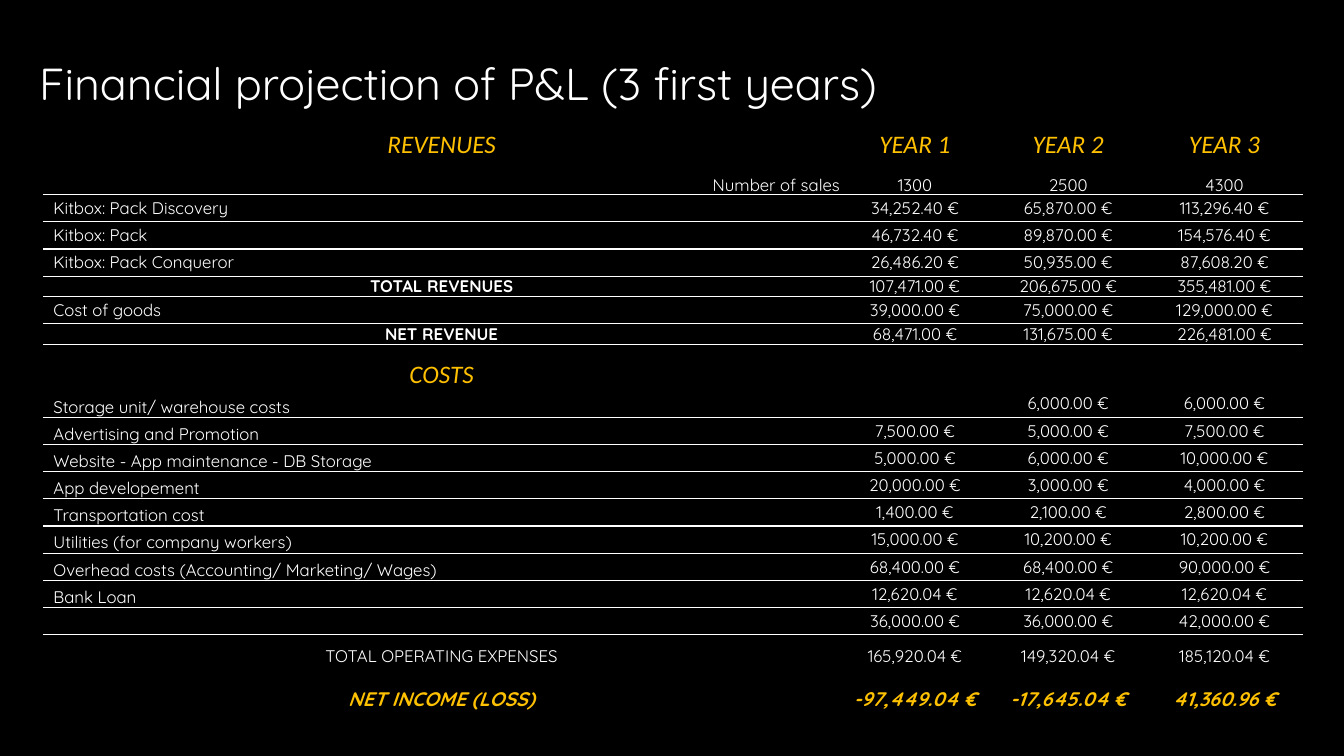
from lxml.etree import SubElement
from pptx import Presentation
from pptx.dml.color import RGBColor
from pptx.enum.text import MSO_ANCHOR, PP_ALIGN
from pptx.oxml import parse_xml
from pptx.oxml.ns import nsdecls, qn
from pptx.util import Inches, Pt

BLACK = RGBColor(0, 0, 0)
WHITE = RGBColor(255, 255, 255)
GOLD = RGBColor(0xFF, 0xC0, 0x00)
AMBER = RGBColor(0xFE, 0xC1, 0x02)

TITLE = "Financial projection of P&L (3 first years)"
COLS = [7.9, 1.49, 1.55, 1.55]
# kind, row height, label, one value a year
ROWS = [
    ("head", 0.59, "REVENUES", "YEAR 1", "YEAR 2", "YEAR 3"),
    ("sales", 0.2, "Number of sales", "1300", "2500", "4300"),
    ("item", 0.27, "Kitbox: Pack Discovery", "34,252.40 €", "65,870.00 €", "113,296.40 €"),
    ("item", 0.27, "Kitbox: Pack", "46,732.40 €", "89,870.00 €", "154,576.40 €"),
    ("item", 0.27, "Kitbox: Pack Conqueror", "26,486.20 €", "50,935.00 €", "87,608.20 €"),
    ("total", 0.2, "TOTAL REVENUES", "107,471.00 €", "206,675.00 €", "355,481.00 €"),
    ("item", 0.27, "Cost of goods", "39,000.00 €", "75,000.00 €", "129,000.00 €"),
    ("total", 0.21, "NET REVENUE", "68,471.00 €", "131,675.00 €", "226,481.00 €"),
    ("gap", 0.15, "", "", "", ""),
    ("head", 0.3, "COSTS", "", "", ""),
    ("cost", 0.27, "Storage unit/ warehouse costs", "", "6,000.00 €", "6,000.00 €"),
    ("cost", 0.27, "Advertising and Promotion", "7,500.00 €", "5,000.00 €", "7,500.00 €"),
    ("cost", 0.27, "Website - App maintenance - DB Storage", "5,000.00 €", "6,000.00 €", "10,000.00 €"),
    ("cost", 0.27, "App developement", "20,000.00 €", "3,000.00 €", "4,000.00 €"),
    ("cost", 0.27, "Transportation cost", "1,400.00 €", "2,100.00 €", "2,800.00 €"),
    ("cost", 0.27, "Utilities (for company workers)", "15,000.00 €", "10,200.00 €", "10,200.00 €"),
    ("cost", 0.27, "Overhead costs (Accounting/ Marketing/ Wages)", "68,400.00 €", "68,400.00 €", "90,000.00 €"),
    ("cost", 0.27, "Bank Loan", "12,620.04 €", "12,620.04 €", "12,620.04 €"),
    ("cost", 0.27, "", "36,000.00 €", "36,000.00 €", "42,000.00 €"),
    ("sum", 0.43, "TOTAL OPERATING EXPENSES", "165,920.04 €", "149,320.04 €", "185,120.04 €"),
    ("net", 0.41, "NET INCOME (LOSS)", "-97,449.04 €", "-17,645.04 €", "41,360.96 €"),
]
RULED = {"sales", "item", "total", "cost"}  # kinds with a line below

BASE = {"name": "Quicksand", "size": Pt(12), "bold": False, "italic": False}
FONTS = {
    "head": {"name": "Calibri", "size": Pt(18), "italic": True},
    "net": {"size": Pt(14), "bold": True, "italic": True},
}
COLORS = {"head": GOLD, "net": AMBER}
ALIGNS = {"sales": PP_ALIGN.RIGHT, "item": PP_ALIGN.LEFT, "cost": PP_ALIGN.LEFT}


def style(font, color, form):
    for key, value in form.items():
        setattr(font, key, value)
    font.color.rgb = color


def edge(cell, above, below):
    """Draw the lines above and below a cell and hide its other borders."""
    marks = {"lnL": False, "lnR": False, "lnT": above, "lnB": below}
    props = cell._tc.get_or_add_tcPr()
    for spot, (tag, shown) in enumerate(marks.items()):
        fill = f'<a:solidFill><a:srgbClr val="{WHITE}"/></a:solidFill>' if shown else "<a:noFill/>"
        props.insert(spot, parse_xml(f'<a:{tag} {nsdecls("a")} w="12700">{fill}</a:{tag}>'))


def put(cell, text, kind, label):
    form = {
        "margin_left": Inches(0.1 if label and kind in ("item", "cost") else 0),
        "margin_right": 0, "margin_top": 0, "margin_bottom": 0,
        "vertical_anchor": MSO_ANCHOR.BOTTOM
        if kind == "sales" or (label and kind == "cost") else MSO_ANCHOR.MIDDLE,
    }
    for key, value in form.items():
        setattr(cell, key, value)
    cell.fill.solid()
    cell.fill.fore_color.rgb = BLACK
    para = cell.text_frame.paragraphs[0]
    if not text:
        # small type keeps an empty cell from stretching its row
        SubElement(para._p, qn("a:endParaRPr"), sz="800")
        return
    para.alignment = ALIGNS.get(kind, PP_ALIGN.CENTER) if label else PP_ALIGN.CENTER
    run = para.add_run()
    run.text = text
    style(run.font, COLORS.get(kind, WHITE), BASE | FONTS.get(kind, {}))
    if label and kind == "total":
        run.font.bold = True


def main():
    deck = Presentation()
    deck.slide_width, deck.slide_height = Inches(13.33), Inches(7.5)
    slide = deck.slides.add_slide(deck.slide_layouts[6])
    slide.background.fill.solid()
    slide.background.fill.fore_color.rgb = BLACK

    box = slide.shapes.add_textbox(Inches(0.29), Inches(0.5), Inches(11.07), Inches(0.64))
    box.text_frame.word_wrap = True
    run = box.text_frame.paragraphs[0].add_run()
    run.text = TITLE
    style(run.font, WHITE, BASE | {"size": Pt(32)})

    high = sum(row[1] for row in ROWS)
    table = slide.shapes.add_table(
        len(ROWS), len(COLS), Inches(0.43), Inches(1.14), Inches(sum(COLS)), Inches(high)
    ).table
    table.first_row = table.horz_banding = False
    for col, wide in zip(table.columns, COLS):
        col.width = Inches(wide)
    above = False
    for r, (kind, tall, *texts) in enumerate(ROWS):
        table.rows[r].height = Inches(tall)
        below = kind in RULED
        for c, text in enumerate(texts):
            cell = table.cell(r, c)
            put(cell, text, kind, c == 0)
            edge(cell, above, below)
        above = below
    deck.save("out.pptx")


if __name__ == "__main__":
    main()
